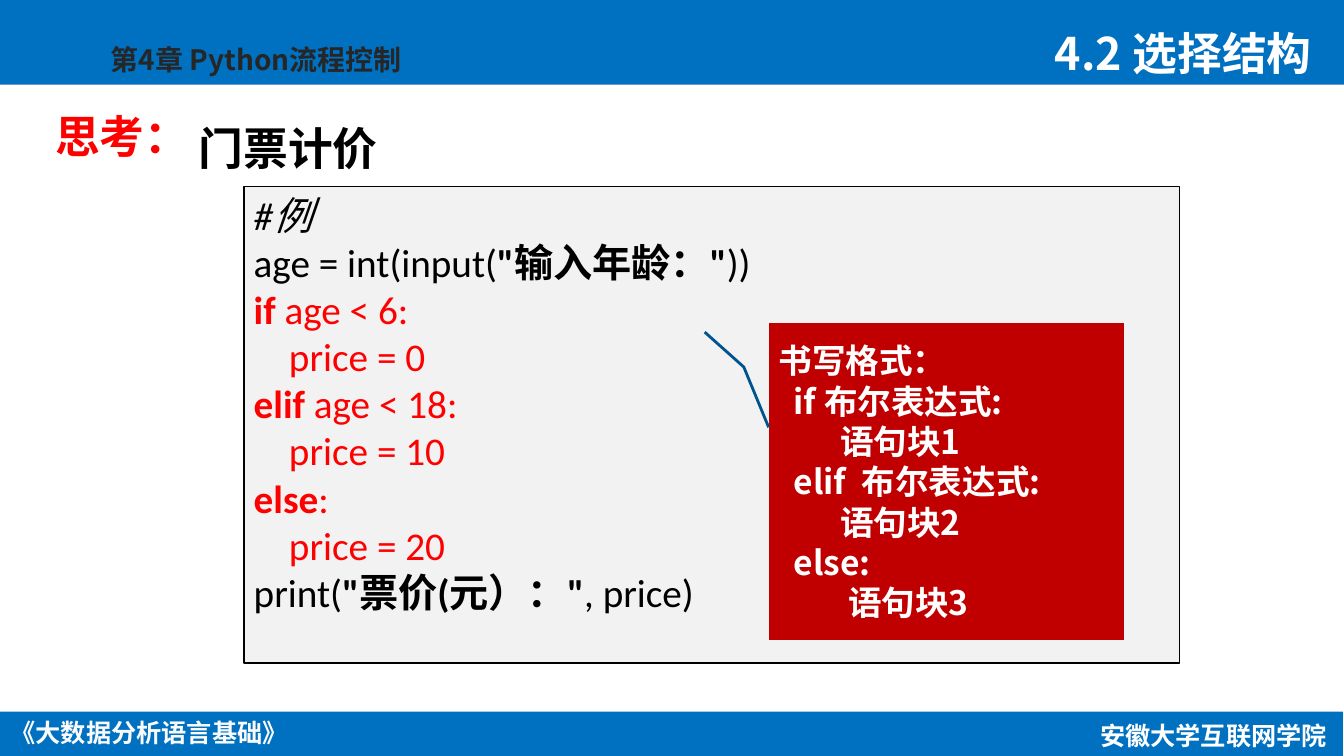
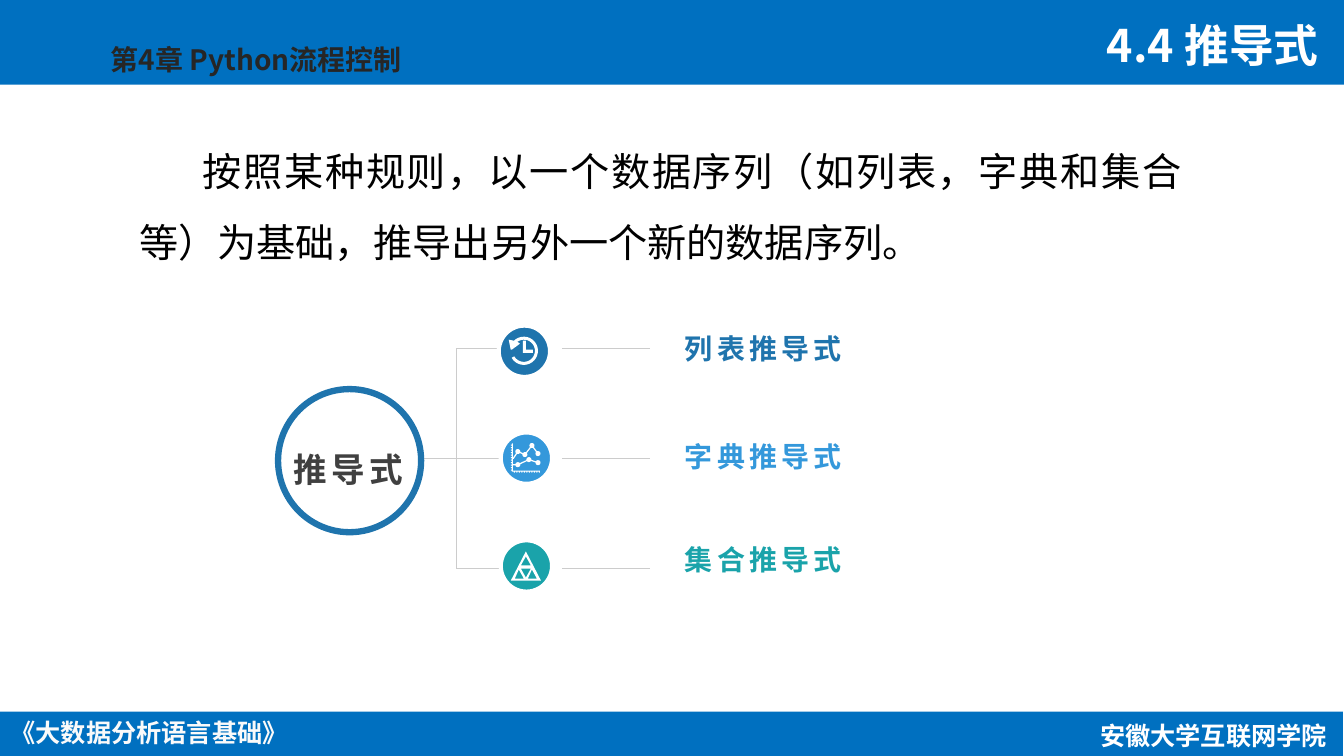
import math

from lxml import etree
from pptx import Presentation
from pptx.dml.color import RGBColor
from pptx.enum import shapes, text
from pptx.oxml import ns
from pptx.util import Pt

PX = 9144  # 100 px to the inch
NOTO, CALIBRI, DEJAVU = "Noto Sans CJK SC", "Calibri", "DejaVu Sans"
LEFT, MID, RIGHT, FULL = (text.PP_ALIGN.LEFT, text.PP_ALIGN.CENTER,
                          text.PP_ALIGN.RIGHT, text.PP_ALIGN.JUSTIFY)
TOP, CENTRE, BOTTOM = (text.MSO_ANCHOR.TOP, text.MSO_ANCHOR.MIDDLE,
                       text.MSO_ANCHOR.BOTTOM)
KIND = shapes.MSO_SHAPE

WHITE = RGBColor(0xFF, 0xFF, 0xFF)
BLACK = RGBColor(0, 0, 0)
PALE = RGBColor(0xFA, 0xFA, 0xFA)
BAND = RGBColor(0x00, 0x70, 0xC0)
DARK = RGBColor(0x26, 0x26, 0x26)
RED = RGBColor(0xFF, 0, 0)
WINE = RGBColor(0xC0, 0, 0)
NAVY = RGBColor(0x00, 0x53, 0x8E)
PANEL = RGBColor(0xF2, 0xF2, 0xF2)
GREY = RGBColor(0x40, 0x40, 0x40)
RULE = RGBColor(0xCC, 0xCC, 0xCC)
BLUE = RGBColor(0x1F, 0x74, 0xAD)
SKY = RGBColor(0x34, 0x98, 0xDB)
TEAL = RGBColor(0x1A, 0xA3, 0xAA)


# Text
def add_run(par, words, size, color, font=NOTO, bold=True, italic=False, track=0):
    run = par.add_run()
    run.text = words
    face = run.font
    face.size, face.bold, face.italic, face.name = Pt(size), bold, italic, font
    face.color.rgb = color
    props = run.font._element
    etree.SubElement(props, ns.qn("a:ea")).set("typeface", font)
    if track:
        props.set("spc", str(track * 100))


def set_par(par, align=LEFT, gap=None, left=0, first=0):
    par.alignment = align
    if gap:
        par.line_spacing = gap
    props = par._p.get_or_add_pPr()
    props.set("marL", str(left * PX))
    props.set("indent", str(first * PX))
    etree.SubElement(props, ns.qn("a:buNone"))


def set_frame(shape, anchor=TOP, wrap=True, foot=5):
    frame = shape.text_frame
    frame.auto_size = text.MSO_AUTO_SIZE.NONE
    frame.word_wrap = wrap
    frame.vertical_anchor = anchor
    frame.margin_left = frame.margin_right = 10 * PX
    frame.margin_top, frame.margin_bottom = 5 * PX, foot * PX
    return frame


def next_par(frame, index):
    return frame.add_paragraph() if index else frame.paragraphs[0]


def add_text(slide, box, words, size, color, align=LEFT, gap=None,
             anchor=TOP, wrap=True, foot=5, **look):
    shape = slide.shapes.add_textbox(*(n * PX for n in box))
    par = set_frame(shape, anchor, wrap, foot).paragraphs[0]
    set_par(par, align, gap)
    add_run(par, words, size, color, **look)
    return shape


def fill_holder(holder, box, words, size, color, align=LEFT, gap=None,
                first=0, **look):
    holder.left, holder.top, holder.width, holder.height = (n * PX for n in box)
    par = set_frame(holder).paragraphs[0]
    set_par(par, align, gap, first=first)
    add_run(par, words, size, color, **look)


# Shapes
def paint(shape, fill, line=None, width=1):
    shape.shadow.inherit = False
    shape.fill.solid()
    shape.fill.fore_color.rgb = fill
    if line is None:
        shape.line.fill.background()
    else:
        shape.line.color.rgb = line
        shape.line.width = Pt(width)
    return shape


def add_box(slide, kind, box, fill, line=None, width=1):
    shape = slide.shapes.add_shape(kind, *(n * PX for n in box))
    return paint(shape, fill, line, width)


def add_rule(slide, x1, y1, x2, y2):
    rule = slide.shapes.add_connector(
        shapes.MSO_CONNECTOR.STRAIGHT, *(n * PX for n in (x1, y1, x2, y2)))
    rule.line.color.rgb = RULE
    rule.line.width = Pt(0.5)
    etree.SubElement(rule._element.spPr, ns.qn("a:effectLst"))


def add_icon(slide, x, y, rings):
    spots = [[((x + a) * PX, (y + b) * PX) for a, b in ring] for ring in rings]
    pen = slide.shapes.build_freeform(*spots[0][0], scale=1.0)
    for i, ring in enumerate(spots):
        if i:
            pen.move_to(*ring[0])
        pen.add_line_segments(ring[1:], close=True)
    paint(pen.convert_to_shape(), WHITE)


# Icon outlines, measured from the badge centre
def arc(x, y, r, start, stop, steps=24):
    turns = [math.radians(start + (stop - start) * i / steps)
             for i in range(steps + 1)]
    return [(x + r * math.cos(t), y + r * math.sin(t)) for t in turns]


def rect(x1, y1, x2, y2):
    return [(x1, y1), (x2, y1), (x2, y2), (x1, y2)]


def link(a, b, trim=2.3, half=0.6):
    dx, dy = b[0] - a[0], b[1] - a[1]
    size = math.hypot(dx, dy)
    ux, uy = dx / size, dy / size
    ends = [(a[0] + ux * trim, a[1] + uy * trim, 1),
            (b[0] - ux * trim, b[1] - uy * trim, 1)]
    ends += [(x, y, -1) for x, y, _ in reversed(ends)]
    return [(x - uy * half * s, y + ux * half * s) for x, y, s in ends]


def clock():
    tip = [(-5, -8), (-4, -7), (-12, -1), (-13, -1), (-15, -11), (-10, -10)]
    ring = arc(0, 0, 14, 225, 510) + arc(0, 0, 11, 510, 233) + tip
    hand = [(-1, -10), (2, -10), (2, -1), (9, -1), (9, 2), (-1, 2)]
    return [ring, hand]


def graph():
    rings = [[(-14, -14), (-13, -14), (-13, 13), (14, 13), (14, 14), (-14, 14)]]
    for i in range(11):
        step = 2.5 * i
        rings += [rect(-15, step - 13, -14, step - 12),
                  rect(step - 12, 14, step - 11, 15)]
    for row in ([(-14, 3), (-8, -6), (-1, -3), (6, -12), (12, -4)],
                [(-15, 7), (-8, 7), (3, 2), (12, 5)]):
        rings += [link(a, b) for a, b in zip(row, row[1:])]
        rings += [arc(x, y, 2.5, 0, 330, 11) for x, y in row[1:]]
    return rings


def prism():
    return [[(0, -14), (-15, 15), (15, 15)],
            [(0, -9), (5, 0), (-5, 0)],
            [(-11, 13), (-7, 4), (-2, 13)],
            [(-5, 3), (5, 3), (0, 12)],
            [(6, 4), (11, 13), (2, 13)]]


# Bands, chapter and footers, held by the layout
def add_bands(slide):
    parts = [
        add_box(slide, KIND.RECTANGLE, (0, 0, 1334, 84), BAND),
        add_box(slide, KIND.RECTANGLE, (-1, 706, 1334, 45), BAND),
        add_text(slide, (-1, 707, 298, 40), "《大数据分析语言基础》", 18, PALE,
                 MID, wrap=False),
        add_text(slide, (100, 37, 378, 44), "第4章 Python流程控制", 20, DARK),
        add_text(slide, (1081, 710, 247, 40), "安徽大学互联网学院", 18, WHITE,
                 MID, wrap=False)]
    for i, part in enumerate(parts):
        part._element.xpath(".//p:cNvPr")[0].set("id", str(20 + i))
        slide.slide_layout.shapes.element.append(part._element)


# Code panel: each line is its indent and its runs (words, colour, bold, italic)
CODE = [
    (0, [("#例", BLACK, False, True)]),
    (0, [("age = int(input(", BLACK, False), ("\"输入年龄：\"", BLACK, True),
         ("))", BLACK, False)]),
    (0, [("if ", RED, True), ("age < 6:", RED, False)]),
    (35, [("price = 0", RED, False)]),
    (0, [("elif ", RED, True), ("age < 18:", RED, False)]),
    (35, [("price = 10", RED, False)]),
    (0, [("else", RED, True), (":", RED, False)]),
    (35, [("price = 20", RED, False)]),
    (0, [("print(", BLACK, False), ("\"票价(元）：\"", BLACK, True),
         (", price)", BLACK, False)]),
]
FORM = [(0, "书写格式："), (15, "if 布尔表达式:"), (61, "语句块1"),
        (15, "elif  布尔表达式:"), (61, "语句块2"), (15, "else:"),
        (69, "语句块3")]


def add_code(slide):
    panel = add_box(slide, KIND.RECTANGLE, (242, 185, 929, 473), PANEL, BLACK)
    frame = set_frame(panel)
    for i, (left, runs) in enumerate(CODE):
        par = next_par(frame, i)
        set_par(par, left=left)
        for words, color, *style in runs:
            add_run(par, words, 28, color, CALIBRI, *style)


def add_form(slide):
    note = add_box(slide, KIND.LINE_CALLOUT_2_NO_BORDER, (763, 320, 353, 315),
                   WINE, NAVY, 2)
    for i, value in enumerate((0.33, 0, 0.14, -0.07, 0.03, -0.18)):
        note.adjustments[i] = value
    frame = set_frame(note, CENTRE)
    for i, (left, words) in enumerate(FORM):
        par = next_par(frame, i)
        set_par(par, left=left)
        add_run(par, words, 24, WHITE)


# Tree: label, colour, badge left and top, label top, icon
ROWS = [("列表推导式", BLUE, 495, 323, 318, clock),
        ("字典推导式", SKY, 497, 429, 425, graph),
        ("集合推导式", TEAL, 497, 536, 528, prism)]


def add_tree(slide):
    ys = [346 + 109 * i for i in range(len(ROWS))]
    add_rule(slide, 421, ys[1], 453, ys[1])
    add_rule(slide, 453, ys[0], 453, ys[-1])
    add_box(slide, KIND.OVAL, (276, 386, 142, 142), WHITE, BLUE, 4.5)
    add_text(slide, (257, 432, 177, 51), "推导式", 24, GREY, MID, 1.2, track=3)
    for y, (words, color, x, top, head, icon) in zip(ys, ROWS):
        add_rule(slide, 453, y, 525, y)
        add_rule(slide, 558, y, 645, y)
        add_box(slide, KIND.OVAL, (x, top, 51, 51), color, WHITE, 3)
        add_icon(slide, x + 25, top + 25, icon())
        add_text(slide, (670, head, 289, 44), words, 20, color, gap=1.2,
                 anchor=BOTTOM, foot=0, track=3)


def main():
    deck = Presentation()
    deck.slide_width, deck.slide_height = 1334 * PX, 750 * PX
    layout = deck.slide_layouts[1]

    # Selection structure
    slide = deck.slides.add_slide(layout)
    add_bands(slide)
    title, body = slide.placeholders
    fill_holder(title, (1037, 21, 297, 64), "4.2 选择结构", 32, WHITE)
    fill_holder(body, (187, 88, 890, 94), "门票计价", 32, BLACK, gap=1.5,
                font=DEJAVU)
    add_text(slide, (45, 88, 883, 94), "思考：", 32, RED, anchor=CENTRE)
    add_code(slide)
    add_form(slide)

    # Comprehensions
    slide = deck.slides.add_slide(layout)
    title, body = slide.placeholders
    fill_holder(title, (916, 13, 403, 64), "4.4 推导式", 32, WHITE, RIGHT)
    fill_holder(body, (128, 118, 1055, 173),
                "按照某种规则，以一个数据序列（如列表，字典和集合等）为基础，"
                "推导出另外一个新的数据序列。",
                28, BLACK, FULL, 1.5, first=63, bold=False)
    add_tree(slide)
    deck.save("out.pptx")


if __name__ == "__main__":
    main()
